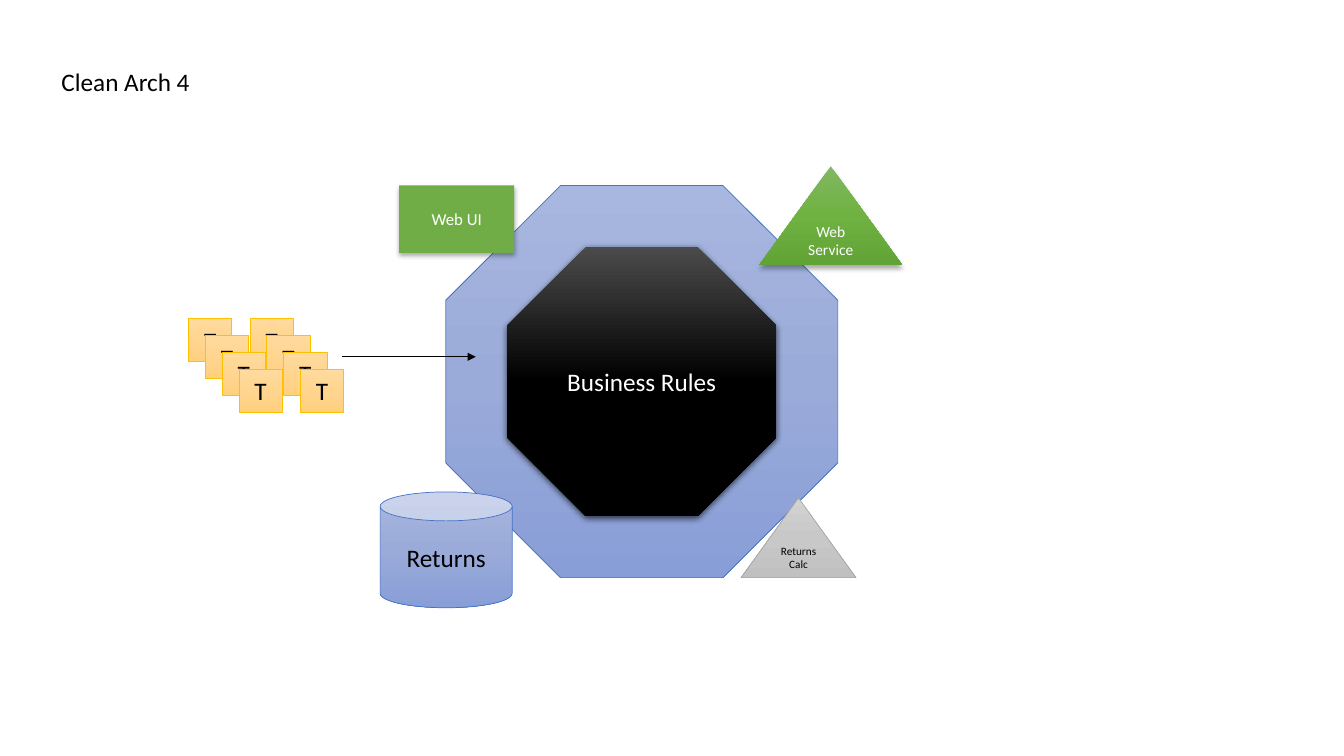
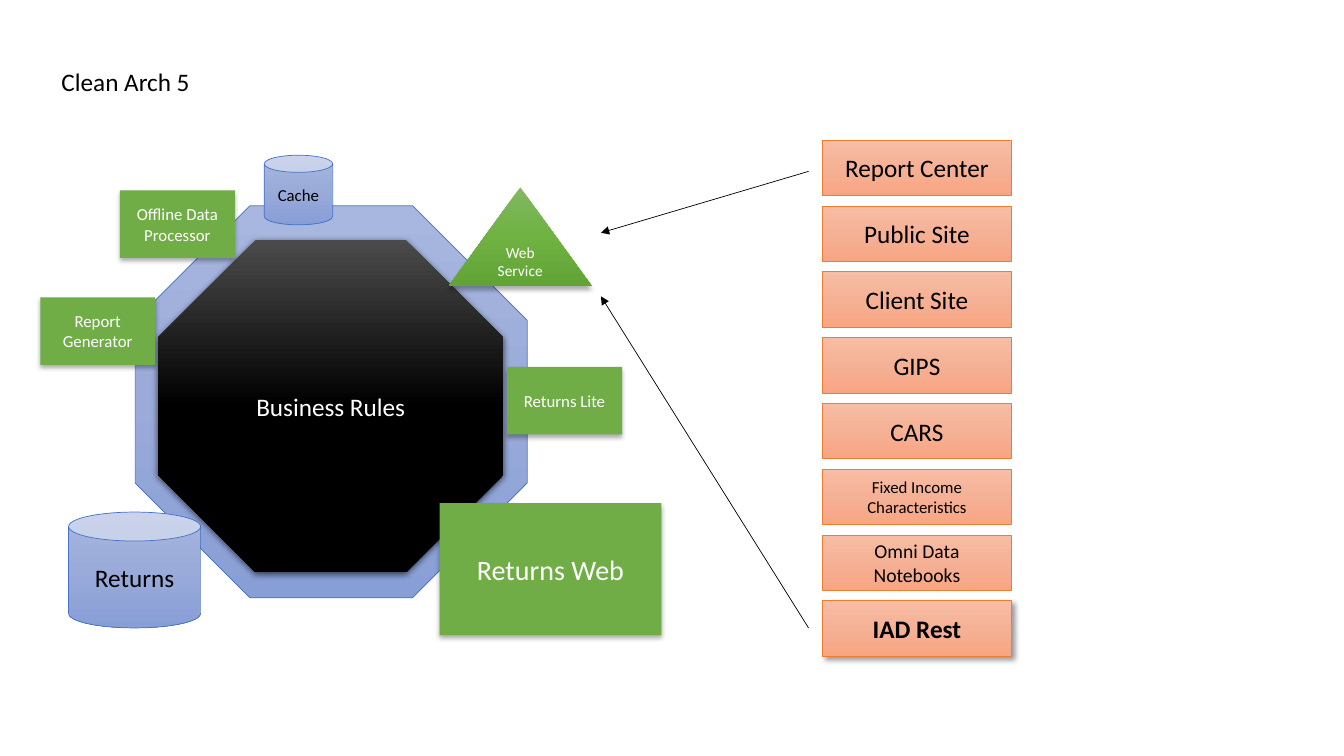
from copy import deepcopy
from lxml import etree
from pptx import Presentation
from pptx.dml.color import RGBColor
from pptx.enum import shapes, text
from pptx.oxml.ns import qn
from pptx.util import Inches, Pt

BLACK = RGBColor(0x00, 0x00, 0x00)
WHITE = RGBColor(0xFF, 0xFF, 0xFF)
GREEN = RGBColor(0x70, 0xAD, 0x47)
BLUE = RGBColor(0x44, 0x72, 0xC4)
GOLD = RGBColor(0xFF, 0xC0, 0x00)
GRAY = RGBColor(0xA5, 0xA5, 0xA5)
ORANGE = RGBColor(0xED, 0x7D, 0x31)
BLUES = (RGBColor(0xA8, 0xB7, 0xDF), RGBColor(0x9A, 0xAB, 0xD9), RGBColor(0x88, 0x9E, 0xD7))
BLACKS = (RGBColor(0x4B, 0x4B, 0x4B), BLACK, BLACK)
GREENS = (RGBColor(0x81, 0xB8, 0x61), RGBColor(0x6F, 0xB2, 0x42), RGBColor(0x62, 0xA3, 0x36))
GOLDS = (RGBColor(0xFF, 0xDB, 0x9E), RGBColor(0xFF, 0xD5, 0x90), RGBColor(0xFF, 0xD0, 0x7C))
GRAYS = (RGBColor(0xD2, 0xD2, 0xD2), RGBColor(0xC8, 0xC8, 0xC8), RGBColor(0xC0, 0xC0, 0xC0))
ORANGES = (RGBColor(0xF7, 0xBD, 0xA5), RGBColor(0xF5, 0xB1, 0x96), RGBColor(0xF8, 0xA5, 0x82))

FONT = "Calibri"
MSO = shapes.MSO_SHAPE

# Shadows: opacity %, blur pt, distance pt, direction in degrees
SOFT = (32, 3.5, 2.2, 90)
DEEP = (63, 4.5, 1.5, 90)
CORNER = (40, 4, 3, 45)

# Looks: preset, fill (one colour or three stops), line, shadow, text colour
LOOKS = {
    "ring": (MSO.OCTAGON, BLUES, BLUE, None, BLACK),
    "core": (MSO.OCTAGON, BLACKS, None, DEEP, WHITE),
    "store": (MSO.CAN, BLUES, BLUE, None, BLACK),
    "app": (MSO.RECTANGLE, GREEN, None, SOFT, WHITE),
    "service": (MSO.ISOSCELES_TRIANGLE, GREENS, None, SOFT, WHITE),
    "calc": (MSO.ISOSCELES_TRIANGLE, GRAYS, GRAY, None, BLACK),
    "test": (MSO.RECTANGLE, GOLDS, GOLD, None, BLACK),
    "client": (MSO.RECTANGLE, ORANGES, ORANGE, None, BLACK),
    "new client": (MSO.RECTANGLE, ORANGES, ORANGE, CORNER, BLACK),
}

RING_SIZE = (3.89, 3.89)
STORE_SIZE = (1.31, 1.15)
APP_SIZE = (1.14, 0.67)
SERVICE_SIZE = (1.42, 0.98)

# Parts: look, text, text size, (left, top), (width, height)
SLIDES = [
    {
        "title": "Clean Arch 4",
        "parts": [
            ("ring", "", 18, (4.42, 1.84), RING_SIZE),
            ("core", "Business Rules", 18, (5.03, 2.45), (2.67, 2.67)),
            ("store", "Returns", 18, (3.77, 4.88), STORE_SIZE),
            ("app", "Web UI", 12, (3.96, 1.84), APP_SIZE),
            ("service", "Web Service", 11, (7.53, 1.65), SERVICE_SIZE),
            ("calc", "Returns Calc", 8, (7.35, 4.94), (1.14, 0.79)),
        ],
        "test_stacks": [(2.48, 3.16), (1.87, 3.16)],
        "clients": [],
        "arrows": [((3.39, 3.54), (4.72, 3.54))],
    },
    {
        "title": "Clean Arch 5",
        "parts": [
            ("ring", "", 18, (1.34, 2.04), RING_SIZE),
            ("core", "Business Rules", 18, (1.57, 2.38), (3.42, 3.3)),
            ("store", "Returns", 18, (0.68, 5.08), STORE_SIZE),
            ("app", "Returns Lite", 12, (5.03, 3.64), APP_SIZE),
            ("service", "Web Service", 11, (4.45, 1.86), SERVICE_SIZE),
            ("app", "Returns Web", 20, (4.36, 4.99), (2.2, 1.31)),
            ("app", "Offline Data Processor", 12, (1.19, 1.89), APP_SIZE),
            ("app", "Report Generator", 12, (0.4, 2.95), APP_SIZE),
            ("store", "Cache", 12, (2.62, 1.54), (0.68, 0.69)),
        ],
        "test_stacks": [],
        "clients": [
            ("client", "Report Center", 18),
            ("client", "Public Site", 18),
            ("client", "Client Site", 18),
            ("client", "GIPS", 18),
            ("client", "CARS", 18),
            ("client", "Fixed Income Characteristics", 12),
            ("client", "Omni Data Notebooks", 14),
            ("new client", "IAD Rest", 18),
        ],
        "arrows": [((8.02, 1.7), (5.96, 2.31)), ((8.02, 6.23), (5.96, 2.94))],
    },
]

TESTS_PER_STACK, TEST_SIZE = 4, 0.43
TEST_STEP = 0.5 / (TESTS_PER_STACK - 1)
CLIENT_LEFT, CLIENT_TOP, CLIENT_PITCH = 8.16, 1.39, 4.57 / 7
CLIENT_SIZE = (1.87, 0.55)


def write(shape, words, size=18, color=BLACK, bold=False,
          align=text.PP_ALIGN.CENTER, anchor=text.MSO_ANCHOR.MIDDLE, wrap=True):
    """Put one formatted paragraph in a shape."""
    tf = shape.text_frame
    tf.word_wrap = wrap
    tf.vertical_anchor = anchor
    p = tf.paragraphs[0]
    p.alignment = align
    r = p.add_run()
    r.text = words
    r.font.name, r.font.size, r.font.bold = FONT, Pt(size), bold
    r.font.color.rgb = color


def paint(shape, fill):
    """Fill a shape with one colour or a three-stop vertical gradient."""
    if isinstance(fill, RGBColor):
        shape.fill.solid()
        shape.fill.fore_color.rgb = fill
        return
    shape.fill.gradient()
    shape.fill.gradient_angle = 270
    first = shape._element.spPr.find(qn("a:gradFill")).find(qn("a:gsLst"))[0]
    first.addnext(deepcopy(first))
    for i, (stop, color) in enumerate(zip(shape.fill.gradient_stops, fill)):
        stop.position = i / 2
        stop.color.rgb = color


def cast_shadow(shape, opacity, blur, distance, direction):
    """Add a black outer shadow."""
    effects = shape._element.spPr.find(qn("a:effectLst"))
    shadow = etree.SubElement(effects, qn("a:outerShdw"), blurRad=str(Pt(blur)),
                              dist=str(Pt(distance)), dir=str(direction * 60000),
                              rotWithShape="0")
    color = etree.SubElement(shadow, qn("a:srgbClr"), val=str(BLACK))
    etree.SubElement(color, qn("a:alpha"), val=str(opacity * 1000))


def add_part(s, look, words, size, at, extent):
    """Draw one part of the architecture in its look."""
    preset, fill, line, shadow, color = LOOKS[look]
    sp = s.shapes.add_shape(preset, *map(Inches, at + extent))
    sp.shadow.inherit = False
    paint(sp, fill)
    if line is None:
        sp.line.fill.background()
    else:
        sp.line.color.rgb = line
        sp.line.width = Pt(0.5)
    if shadow:
        cast_shadow(sp, *shadow)
    if words:
        write(sp, words, size=size, color=color, bold=look == "new client")


def add_arrow(s, start, end):
    """Draw a thin black arrow."""
    c = s.shapes.add_connector(shapes.MSO_CONNECTOR.STRAIGHT, *map(Inches, start + end))
    c.line.color.rgb = BLACK
    c.line.width = Pt(0.5)
    etree.SubElement(c._element.spPr.find(qn("a:ln")), qn("a:tailEnd"), type="triangle")
    etree.SubElement(c._element.spPr, qn("a:effectLst"))


def add_title(s, words):
    """Place the slide title at the top left."""
    sp = s.shapes.title
    sp.left, sp.top, sp.width, sp.height = map(Inches, (0.51, 0.61, 1.49, 0.4))
    write(sp, words, align=text.PP_ALIGN.LEFT, anchor=text.MSO_ANCHOR.TOP, wrap=False)
    sp.text_frame.auto_size = text.MSO_AUTO_SIZE.SHAPE_TO_FIT_TEXT


def build_slide(prs, content):
    """Build one architecture slide."""
    s = prs.slides.add_slide(prs.slide_layouts[5])
    add_title(s, content["title"])
    for part in content["parts"]:
        add_part(s, *part)
    for left, top in content["test_stacks"]:
        for i in range(TESTS_PER_STACK):
            at = (left + i * TEST_STEP, top + i * TEST_STEP)
            add_part(s, "test", "T", 18, at, (TEST_SIZE, TEST_SIZE))
    for i, client in enumerate(content["clients"]):
        add_part(s, *client, (CLIENT_LEFT, CLIENT_TOP + i * CLIENT_PITCH), CLIENT_SIZE)
    for start, end in content["arrows"]:
        add_arrow(s, start, end)


prs = Presentation()
prs.slide_width, prs.slide_height = Inches(13.33), Inches(7.5)
for content in SLIDES:
    build_slide(prs, content)
prs.save("out.pptx")
